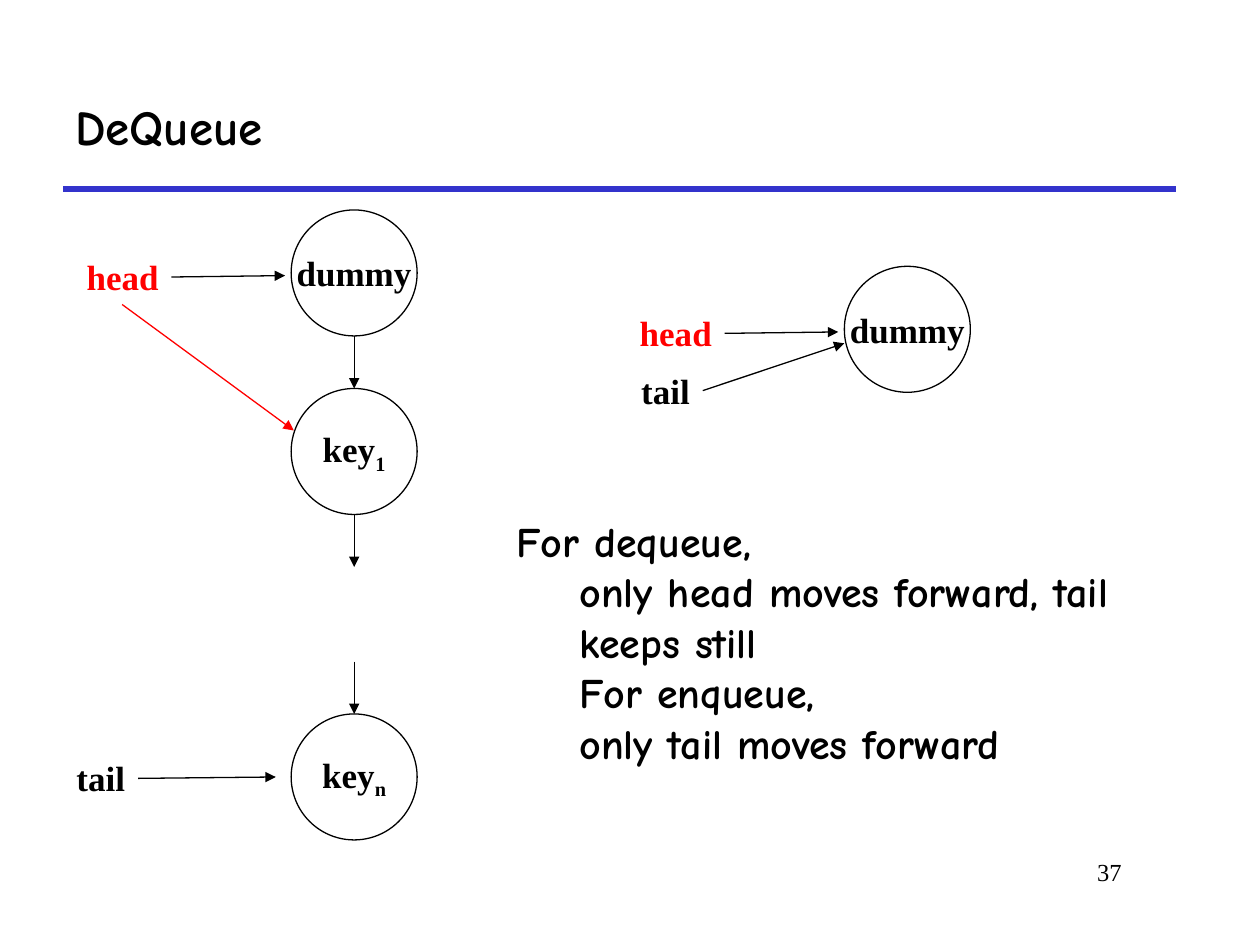
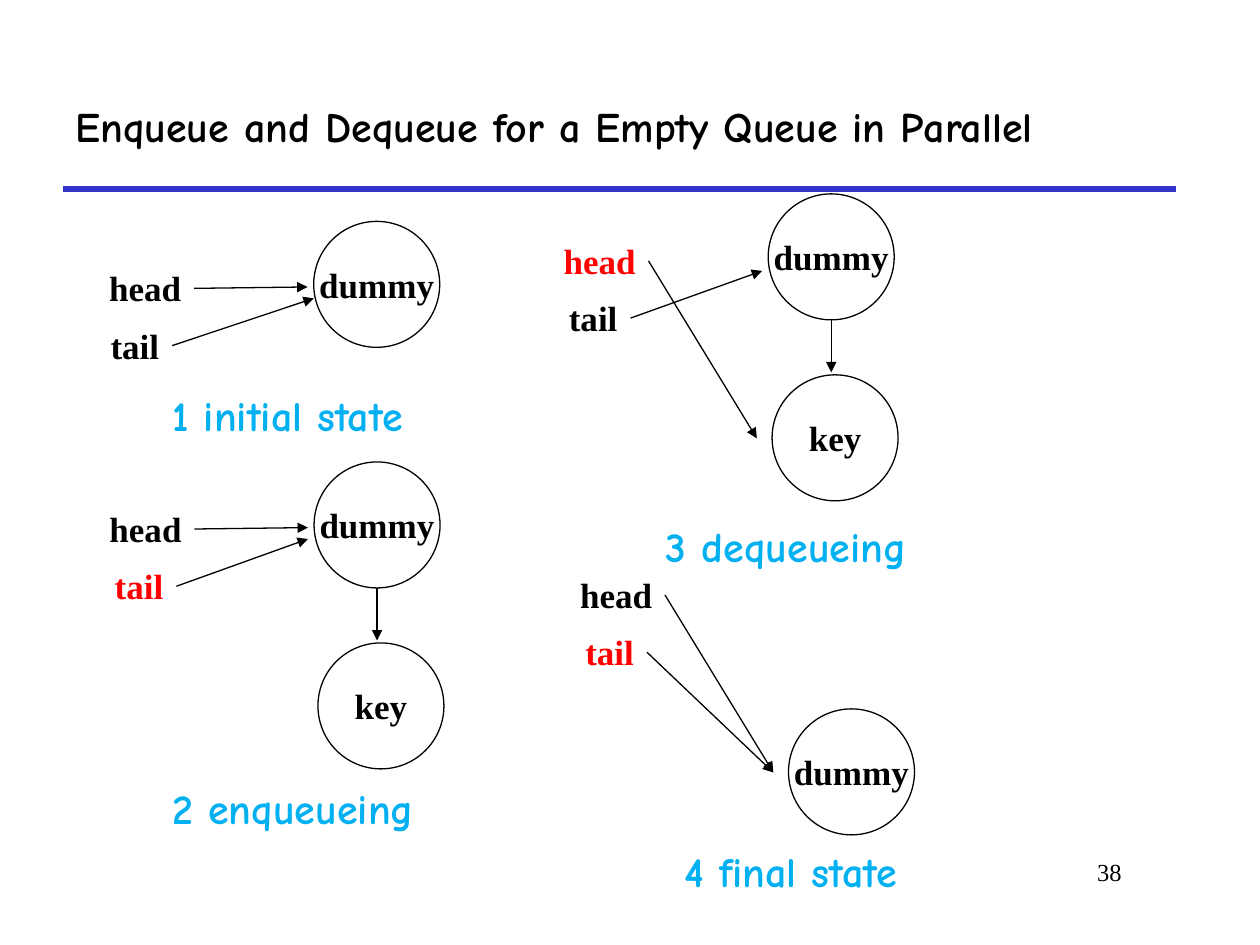
from dataclasses import dataclass

from lxml.etree import SubElement
from pptx import Presentation
from pptx.dml.color import RGBColor
from pptx.enum.shapes import MSO_CONNECTOR, MSO_SHAPE
from pptx.enum.text import MSO_ANCHOR, PP_ALIGN
from pptx.oxml.ns import qn
from pptx.util import Pt


@dataclass(frozen=True)
class Theme:
    black: RGBColor = RGBColor(0, 0, 0)
    red: RGBColor = RGBColor(0xFF, 0, 0)
    rule: RGBColor = RGBColor(0x33, 0x33, 0xCC)
    caption: RGBColor = RGBColor(0, 0xB0, 0xF0)
    comic: str = "Comic Neue"
    serif: str = "Times New Roman"
    title_size: int = 28
    body_size: int = 24
    node_size: int = 20
    number_size: int = 14
    thin: float = 0.75
    thick: float = 3


T = Theme()

# Lengths inside a queue diagram, measured from its top left corner
NODE = 72
NODE_X = 124
KEY_X = 126.2
KEY_Y = 103.4
LINK = 30
HEAD_Y = 22.5
HEAD_TO_DUMMY = (120.5, 37.5)
TAIL_TO_DUMMY = (120.5, 44)
TO_KEY = (117.5, 139.7)


def add_run(p, text, size, color=T.black, font=T.serif, bold=True):
    r = p.add_run()
    r.text = text
    r.font.size = Pt(size)
    r.font.name = font
    r.font.bold = bold
    r.font.color.rgb = color
    return r


def add_text(shapes, box, text, size, color=T.black, font=T.serif, bold=True,
             wrap=True, align=PP_ALIGN.LEFT, anchor=MSO_ANCHOR.TOP):
    tf = shapes.add_textbox(*map(Pt, box)).text_frame
    tf.word_wrap = wrap
    tf.vertical_anchor = anchor
    p = tf.paragraphs[0]
    p.alignment = align
    add_run(p, text, size, color, font, bold)
    return tf


def add_line(shapes, start, end, color=T.black, width=T.thin):
    line = shapes.add_connector(MSO_CONNECTOR.STRAIGHT, *map(Pt, (*start, *end)))
    line.line.color.rgb = color
    line.line.width = Pt(width)
    SubElement(line._element.spPr, qn("a:effectLst"))
    return line


def add_arrow(shapes, origin, start, end, color=T.black):
    """Draw an arrow between two points given relative to origin."""
    x, y = origin
    line = add_line(shapes, (x + start[0], y + start[1]), (x + end[0], y + end[1]), color)
    SubElement(line.line._get_or_add_ln(), qn("a:tailEnd"), type="triangle")


def add_node(shapes, origin, dx, dy, name, index=""):
    x, y = origin
    sp = shapes.add_shape(MSO_SHAPE.OVAL, Pt(x + dx), Pt(y + dy), Pt(NODE), Pt(NODE))
    sp.shadow.inherit = False
    sp.fill.background()
    sp.line.color.rgb = T.black
    sp.line.width = Pt(T.thin)
    tf = sp.text_frame
    tf.word_wrap = False
    tf.vertical_anchor = MSO_ANCHOR.MIDDLE
    p = tf.paragraphs[0]
    p.alignment = PP_ALIGN.CENTER
    add_run(p, name, T.node_size)
    if index:
        r = add_run(p, index, T.node_size)
        r._r.get_or_add_rPr().set("baseline", "-25000")


def add_head(shapes, origin, target, color):
    x, y = origin
    add_text(shapes, (x, y + HEAD_Y, 55.4, 31.7), "head", T.node_size, color, wrap=False)
    add_arrow(shapes, origin, (55.6, 38.3), target)


def add_tail(shapes, origin, dx, dy, target, color=T.black):
    x, y = origin
    add_text(shapes, (x + dx, y + dy, 42, 31.7), "tail", T.node_size, color, wrap=False)
    add_arrow(shapes, origin, (dx + 42.3, dy + 15.8), target, color=T.black)


def add_queue(sl, origin, head_to, tail_to, dummy=False, second="",
              red="", tail_dx=3):
    """Draw a short queue: an optional dummy, an optional second node, two pointers."""
    shapes = sl.shapes.add_group_shape().shapes
    if dummy:
        add_node(shapes, origin, NODE_X, 0, "dummy")
    if second:
        add_node(shapes, origin, KEY_X, KEY_Y, second)
    if dummy and second:
        mid = NODE_X + NODE / 2
        add_arrow(shapes, origin, (mid, NODE), (mid, NODE + LINK))
    add_tail(shapes, origin, tail_dx, 55.2, tail_to, T.red if red == "tail" else T.black)
    add_head(shapes, origin, head_to, T.red if red == "head" else T.black)


def add_initial_queue(sl, origin, red=""):
    add_queue(sl, origin, HEAD_TO_DUMMY, (NODE_X, 44), dummy=True, red=red, tail_dx=0.8)


def add_long_chain(sl, origin):
    """Draw the queue of n keys whose head pointer moves to the first key."""
    shapes = sl.shapes
    mid = NODE_X + NODE / 2
    key_1, key_n = NODE + LINK, 288
    for dy, name, index in ((0, "dummy", ""), (key_1, "key", "1"), (key_n, "key", "n")):
        add_node(shapes, origin, NODE_X, dy, name, index)
    for dy in (NODE, key_1 + NODE, key_n - LINK):
        add_arrow(shapes, origin, (mid, dy), (mid, dy + LINK))
    add_head(shapes, origin, HEAD_TO_DUMMY, T.red)
    add_arrow(shapes, origin, (27.4, 54), (125.5, 126), T.red)
    add_tail(shapes, origin, -5.8, 309, (115.2, 324))


def add_rules_text(sl, box, lines):
    """Write a first line and indent the ones that follow it."""
    first, *rest = lines
    tf = add_text(sl.shapes, box, first, T.body_size, font=T.comic)
    for text in rest:
        p = tf.add_paragraph()
        p._p.get_or_add_pPr().set("marL", str(Pt(36)))
        add_run(p, text, T.body_size, font=T.comic)


def add_slide(prs, title, number, title_size=T.title_size):
    sl = prs.slides.add_slide(prs.slide_layouts[6])
    add_line(sl.shapes, (36, 108), (672, 108), T.rule, T.thick)
    add_text(sl.shapes, (36, 36, 636, 72), title, title_size, font=T.comic,
             anchor=MSO_ANCHOR.MIDDLE)
    add_text(sl.shapes, (546, 486, 102, 36), str(number), T.number_size,
             bold=False, align=PP_ALIGN.RIGHT)
    return sl


def add_dequeue_slide(prs):
    sl = add_slide(prs, "DeQueue", 37)
    add_long_chain(sl, (42.4, 120))
    add_initial_queue(sl, (358.5, 152.2), red="head")
    add_rules_text(sl, (288, 291, 354, 151), (
        "For dequeue,",
        "only head moves forward, tail keeps still",
        "For enqueue,",
        "only tail moves forward",
    ))


def add_parallel_slide(prs):
    sl = add_slide(prs, "Enqueue and Dequeue for a Empty Queue in Parallel", 38, T.body_size)
    add_initial_queue(sl, (55.3, 126.5))
    add_queue(sl, (55.5, 264), HEAD_TO_DUMMY, TAIL_TO_DUMMY,
              dummy=True, second="key", red="tail")
    add_queue(sl, (315, 110.8), TO_KEY, TAIL_TO_DUMMY,
              dummy=True, second="key", red="head")
    add_queue(sl, (324.4, 301.7), TO_KEY, TO_KEY, second="dummy", red="tail")
    captions = (
        (91.5, 219, "1 initial state"),
        (91.5, 443.5, "2 enqueueing"),
        (373.5, 294, "3 dequeueing"),
        (384, 479.5, "4 final state"),
    )
    for x, y, text in captions:
        add_text(sl.shapes, (x, y, 202, 36), text, T.body_size, T.caption, T.comic)


def main():
    prs = Presentation()
    prs.slide_width, prs.slide_height = Pt(720), Pt(540)
    add_dequeue_slide(prs)
    add_parallel_slide(prs)
    prs.save("out.pptx")


if __name__ == "__main__":
    main()
